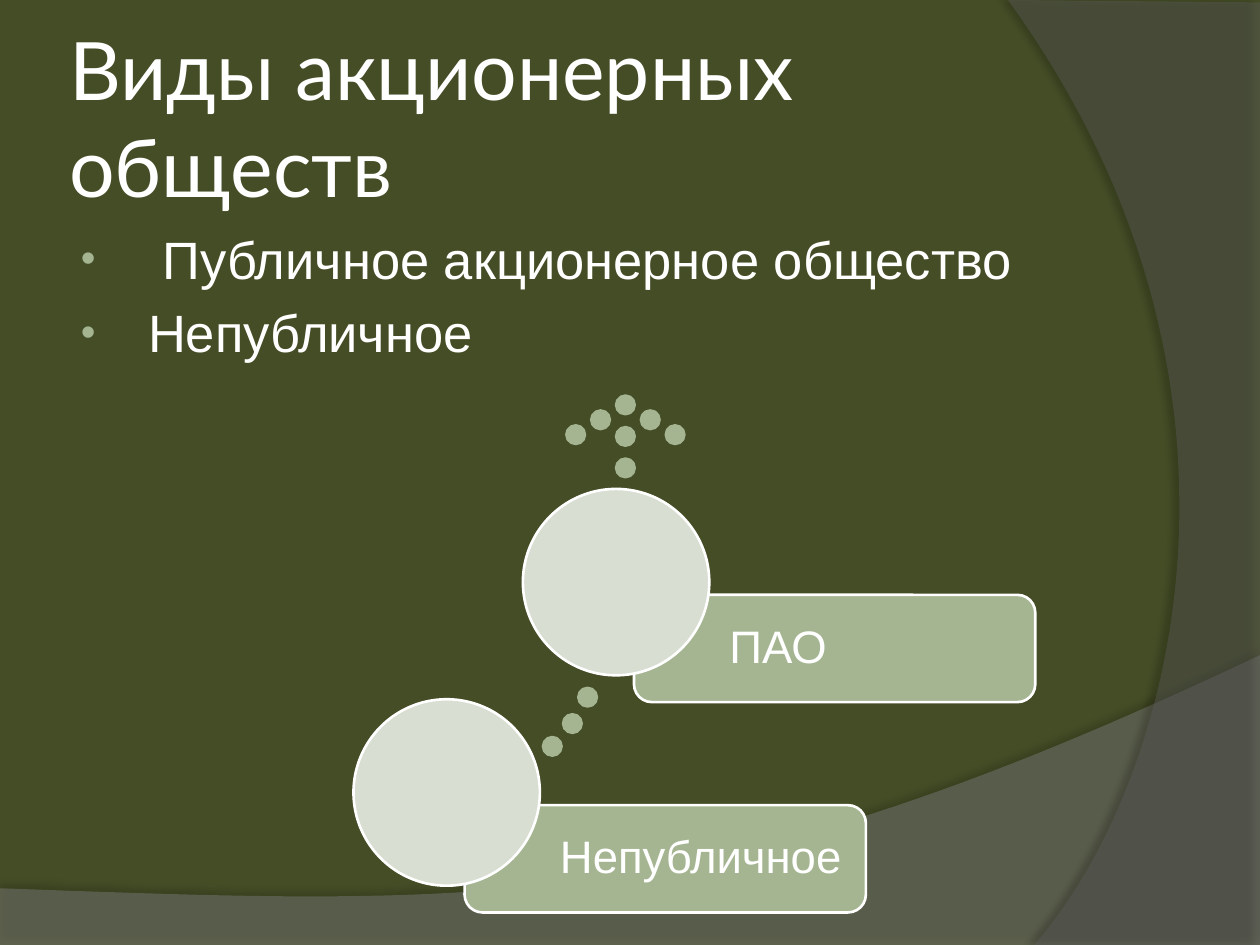
from lxml import etree
from pptx import Presentation
from pptx import util as u
from pptx.dml.color import RGBColor
from pptx.enum import shapes, text
from pptx.oxml import ns

Pt = u.Pt
THEME = {
    "background": "444D26", "white": "FFFFFF", "accent": "A5B592", "pale": "D8DED2",
    "wave": "7F7F7F", "arc": "5E5E5E", "shadow": "000000",
    "title_size": 46, "body_size": 30, "label_size": 26,
    "title_font": "Lato", "body_font": "Arial",
}


def add_xml(parent, tag, **attributes):
    return etree.SubElement(parent, ns.qn(tag), {key: str(value) for key, value in attributes.items()})


def style(item, font=None, fill=None, line=None, frame=None):
    if fill:
        item.shadow.inherit = False
        item.fill.solid()
        item.fill.fore_color.rgb = RGBColor.from_string(THEME[fill])
        if line:
            item.line.color.rgb = RGBColor.from_string(THEME[line])
            item.line.width = Pt(1.5)
        else:
            item.line.fill.background()
    for name, value in (frame or {}).items():
        setattr(item.text_frame, name, value)
    if font:
        for paragraph in item.text_frame.paragraphs:
            paragraph.alignment = text.PP_ALIGN.LEFT
            for run in paragraph.runs:
                run.font.name = THEME[font + "_font"]
                run.font.color.rgb = RGBColor.from_string(THEME["white"])


presentation = Presentation()
presentation.slide_width, presentation.slide_height = Pt(720), Pt(540)
slide = presentation.slides.add_slide(presentation.slide_layouts[1])
slide.background.fill.solid()
slide.background.fill.fore_color.rgb = RGBColor.from_string(THEME["background"])
tree = slide.shapes._spTree

swooshes = [
    {"corners": [(0, 507.6), (0, 540), (720, 540)],
     "curve": [(720, 374.4), (402.5, 525), (281.5, 517.7), (0, 507.6)],
     "fill": "wave", "alpha": 45, "shadow_alpha": 35, "distance": 3.5, "direction": 270},
    {"corners": [(720, 1.4), (720, 540)],
     "curve": [(591, 540), (673.2, 445.7), (733, 216), (576, 0)],
     "fill": "arc", "alpha": 40, "shadow_alpha": 45, "distance": 4, "direction": 180},
]
for index, swoosh in enumerate(swooshes):
    points = list(swoosh["corners"])
    for step in range(61):
        t = step / 60
        weights = [(1 - t) ** 3, 3 * t * (1 - t) ** 2, 3 * t ** 2 * (1 - t), t ** 3]
        points.append(tuple(sum(w * p[axis] for w, p in zip(weights, swoosh["curve"])) for axis in (0, 1)))
    points = [(Pt(x), Pt(y)) for x, y in points]
    builder = slide.shapes.build_freeform(*points[0])
    builder.add_line_segments(points[1:], close=True)
    shape = builder.convert_to_shape()
    style(shape, fill=swoosh["fill"])
    color = shape._element.spPr.find(".//" + ns.qn("a:srgbClr"))
    add_xml(color, "a:alpha", val=swoosh["alpha"] * 1000)
    effects = shape._element.spPr.find(ns.qn("a:effectLst"))
    shadow = add_xml(effects, "a:outerShdw", blurRad=Pt(4), dist=Pt(swoosh["distance"]),
                     dir=swoosh["direction"] * 60000, algn="ctr", rotWithShape=0)
    shadow_color = add_xml(shadow, "a:srgbClr", val=THEME["shadow"])
    add_xml(shadow_color, "a:alpha", val=swoosh["shadow_alpha"] * 1000)
    tree.insert(2 + index, shape._element)

title = slide.shapes.title
body = slide.placeholders[1]
for placeholder, box in ((title, (36, 21.6, 588, 90)), (body, (36, 126, 588, 356.4))):
    for name, value in zip(("left", "top", "width", "height"), box):
        setattr(placeholder, name, Pt(value))

title.text_frame.text = "Виды акционерных обществ"
style(title, font="title", frame={
    "margin_left": Pt(3.6), "margin_right": Pt(3.6), "margin_top": Pt(3.6), "margin_bottom": Pt(3.6),
    "vertical_anchor": text.MSO_ANCHOR.MIDDLE, "word_wrap": True, "auto_size": text.MSO_AUTO_SIZE.NONE})
title.text_frame.paragraphs[0].runs[0].font.size = Pt(THEME["title_size"])

body.text_frame.text = "Публичное акционерное общество\nНепубличное"
for paragraph, margin, before in zip(body.text_frame.paragraphs, (49.8, 41.4), (0, 6)):
    properties = paragraph._p.get_or_add_pPr()
    properties.set("marL", str(Pt(margin)))
    properties.set("indent", str(Pt(3 - margin)))
    add_xml(add_xml(properties, "a:buClr"), "a:srgbClr", val=THEME["accent"])
    add_xml(properties, "a:buSzPct", val=80000)
    add_xml(properties, "a:buFont", typeface=THEME["body_font"])
    add_xml(properties, "a:buChar", char="•")
    paragraph.space_before = Pt(before)
    paragraph.runs[0].font.size = Pt(THEME["body_size"])
style(body, font="body", frame={"word_wrap": True, "auto_size": text.MSO_AUTO_SIZE.NONE})

trail = [(330.5, 393.1), (321.8, 408.2), (310.3, 421.2)]
arrowhead = [(352.1 + 14.2 * i, 226.1 + 8.5 * abs(i)) for i in range(-2, 3)]
stem = [(352.1, 226.1 + 18 * i) for i in (1, 2)]
for left, top in trail + arrowhead + stem:
    dot = slide.shapes.add_shape(shapes.MSO_SHAPE.OVAL, Pt(left), Pt(top), Pt(10.6), Pt(10.6))
    style(dot, fill="accent", line="accent")

for label, left, top in (("Непубличное", 202, 399.6), ("ПАО", 298.8, 279.4)):
    box = slide.shapes.add_shape(shapes.MSO_SHAPE.ROUNDED_RECTANGLE,
                                 Pt(left + 63.5), Pt(top + 60.5), Pt(229.3), Pt(61.3))
    box.text_frame.text = label
    style(box, font="body", fill="accent", line="white", frame={
        "margin_left": Pt(51.5), "margin_right": Pt(8), "margin_top": Pt(8), "margin_bottom": Pt(8),
        "vertical_anchor": text.MSO_ANCHOR.MIDDLE, "word_wrap": True})
    paragraph = box.text_frame.paragraphs[0]
    paragraph.line_spacing = 0.9
    paragraph.runs[0].font.size = Pt(THEME["label_size"])
    circle = slide.shapes.add_shape(shapes.MSO_SHAPE.OVAL, Pt(left), Pt(top), Pt(106.5), Pt(106.5))
    style(circle, fill="pale", line="white")

presentation.save("out.pptx")
